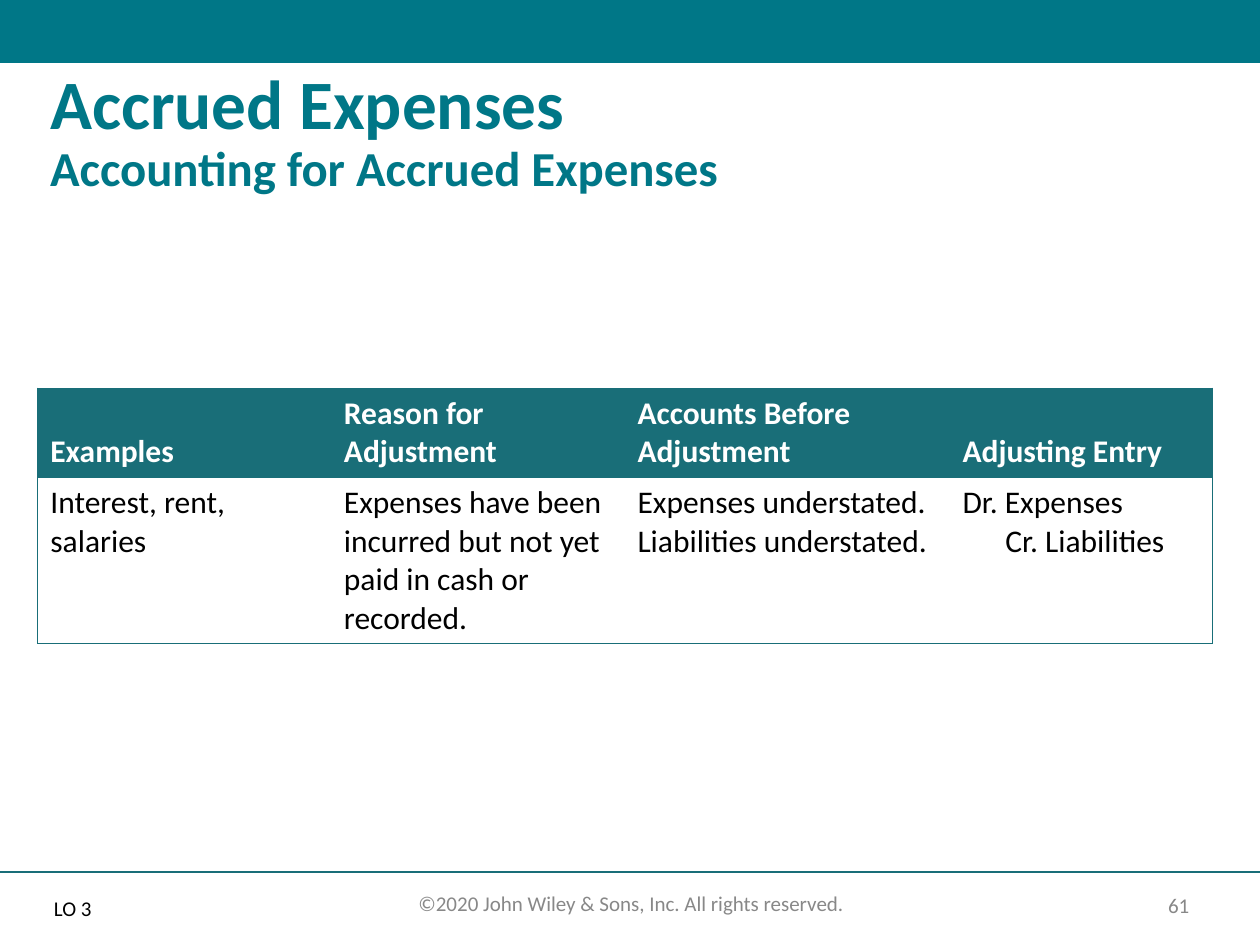
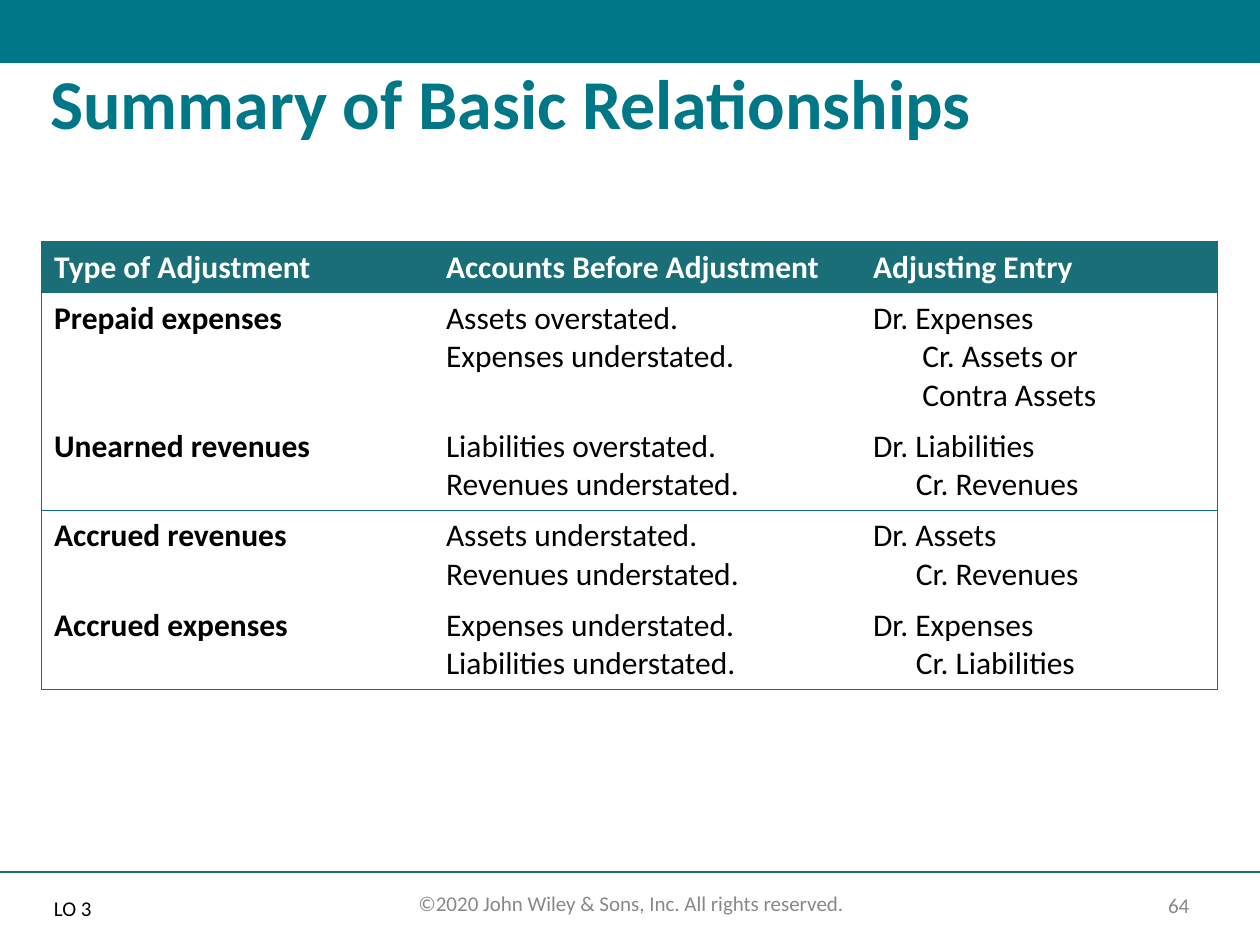
from dataclasses import dataclass
from typing import NamedTuple

from lxml.etree import SubElement
from pptx import Presentation
from pptx.dml.color import RGBColor
from pptx.enum.shapes import MSO_CONNECTOR, MSO_SHAPE
from pptx.enum.text import MSO_ANCHOR, PP_ALIGN
from pptx.oxml.ns import qn
from pptx.util import Inches, Pt


@dataclass(frozen=True)
class Theme:
    font: str = "Calibri"
    teal: str = "007787"
    dark: str = "196E78"
    grey: str = "888888"
    black: str = "000000"
    white: str = "FFFFFF"
    body: float = 18
    small: float = 12
    edge: float = 0.75
    rule: float = 1


class Line(NamedTuple):
    text: str
    indent: float = 0


class Row(NamedTuple):
    cells: list[list[Line]]
    lines: int  # text lines in the tallest cell


@dataclass(frozen=True)
class Grid:
    left: float
    top: float
    cols: list[float]
    head: Row
    rows: list[Row]
    rules: set[int]  # row boundaries with a line
    bold: bool = False  # bold first column


@dataclass(frozen=True)
class Page:
    title: str
    size: float
    number: int
    grid: Grid
    sub: float = 0


THEME = Theme()
LINE, PAD = 0.305, 0.1  # height of a text line, cell padding


def write(frame, lines: list[Line], *, size: float, color: str, sub: float = 0,
          bold: bool = False, align=PP_ALIGN.LEFT, space: float = 1) -> None:
    """Fill a text frame; sub is the size of text after a line break."""
    frame.word_wrap = True
    for i, line in enumerate(lines):
        para = frame.paragraphs[0] if i == 0 else frame.add_paragraph()
        para.alignment, para.line_spacing = align, space
        if line.indent:
            para._p.get_or_add_pPr().set("marL", str(Inches(line.indent)))
        for j, part in enumerate(line.text.split("\n")):
            if j:
                para.add_line_break()
            run = para.add_run()
            run.text = part
            font = run.font
            font.name, font.bold = THEME.font, bold
            font.size = Pt(sub if j else size)
            font.color.rgb = RGBColor.from_string(color)


def label(slide, text: str, box: tuple, anchor=MSO_ANCHOR.TOP, **style) -> None:
    frame = slide.shapes.add_textbox(*map(Inches, box)).text_frame
    frame.vertical_anchor = anchor
    write(frame, [Line(text)], **style)


def border(cell, sides: dict[str, bool]) -> None:
    props = cell._tc.get_or_add_tcPr()
    for side, shown in sides.items():
        line = SubElement(props, qn(f"a:ln{side}"), w=str(Pt(THEME.edge)))
        if shown:
            fill = SubElement(line, qn("a:solidFill"))
            SubElement(fill, qn("a:srgbClr"), val=THEME.dark)
        else:
            SubElement(line, qn("a:noFill"))


def table(slide, grid: Grid) -> None:
    rows = [grid.head, *grid.rows]
    highs = [PAD + LINE * row.lines for row in rows]
    box = (grid.left, grid.top, sum(grid.cols), sum(highs))
    tab = slide.shapes.add_table(len(rows), len(grid.cols), *map(Inches, box)).table
    for col, width in zip(tab.columns, grid.cols):
        col.width = Inches(width)
    rules = grid.rules | {0, 1, len(rows)}
    last = len(grid.cols) - 1
    for r, row in enumerate(rows):
        tab.rows[r].height = Inches(highs[r])
        head = r == 0
        for c, lines in enumerate(row.cells):
            cell = tab.cell(r, c)
            border(cell, {"L": c == 0, "R": c == last,
                          "T": r in rules, "B": r + 1 in rules})
            if head:
                cell.fill.solid()
                cell.fill.fore_color.rgb = RGBColor.from_string(THEME.dark)
                cell.vertical_anchor = MSO_ANCHOR.BOTTOM
            else:
                cell.fill.background()
            write(cell.text_frame, lines, size=THEME.body,
                  color=THEME.white if head else THEME.black,
                  bold=head or (grid.bold and c == 0))


def frame(slide, page: Page) -> None:
    """Draw the band, title and footer that every slide has."""
    band = slide.shapes.add_shape(MSO_SHAPE.RECTANGLE, 0, 0, Inches(10), Inches(0.5))
    band.shadow.inherit = False
    band.fill.solid()
    band.fill.fore_color.rgb = RGBColor.from_string(THEME.teal)
    band.line.fill.background()

    rule = slide.shapes.add_connector(
        MSO_CONNECTOR.STRAIGHT, 0, Inches(6.92), Inches(10), Inches(6.92))
    rule.line.color.rgb = RGBColor.from_string(THEME.dark)
    rule.line.width = Pt(THEME.rule)
    SubElement(rule._element.spPr, qn("a:effectLst"))

    foot = {"size": THEME.small, "color": THEME.grey, "align": PP_ALIGN.CENTER}
    label(slide, str(page.number), (9.05, 7.04, 0.61, 0.28), MSO_ANCHOR.MIDDLE, **foot)
    label(slide, "©2020 John Wiley & Sons, Inc. All rights reserved.",
          (2.84, 7.02, 4.34, 0.3), **foot)
    label(slide, "LO 3", (0.33, 7.08, 0.67, 0.33),
          size=THEME.small, color=THEME.black, space=0.9)
    label(slide, page.title, (0.3, 0.5, 9.34, 1.07), size=page.size,
          sub=page.sub, color=THEME.teal, bold=True, space=0.9)


def cells(*texts: str) -> list[list[Line]]:
    return [[Line(text)] for text in texts]


def entry(debit: str, *credit: str, indent: float = 0.34) -> list[Line]:
    return [Line(f"Dr. {debit}"), *(Line(text, indent) for text in credit)]


def kind(name: str, first: str, second: str, entry: list[Line]) -> Row:
    return Row([[Line(name)], [Line(first), Line(second)], entry], len(entry))


PAGES = [
    Page("Accrued Expenses\nAccounting for Accrued Expenses", 39.6, 61, sub=27.9, grid=Grid(
        0.3, 3.08, [2.33, 2.33, 2.58, 2.08],
        Row(cells("Examples", "Reason for Adjustment",
                  "Accounts Before Adjustment", "Adjusting Entry"), 2),
        [Row([*cells("Interest, rent, salaries",
                     "Expenses have been incurred but not yet paid in cash or recorded.",
                     "Expenses understated. Liabilities understated."),
              entry("Expenses", "Cr. Liabilities")], 4)],
        rules=set())),
    Page("Summary of Basic Relationships", 40, 64, grid=Grid(
        0.33, 1.92, [3.11, 3.39, 2.83],
        Row(cells("Type of Adjustment", "Accounts Before Adjustment", "Adjusting Entry"), 1),
        [kind("Prepaid expenses", "Assets overstated.", "Expenses understated.",
              entry("Expenses", "Cr. Assets or", "Contra Assets", indent=0.39)),
         kind("Unearned revenues", "Liabilities overstated.", "Revenues understated.",
              entry("Liabilities", "Cr. Revenues")),
         kind("Accrued revenues", "Assets understated.", "Revenues understated.",
              entry("Assets", "Cr. Revenues")),
         kind("Accrued expenses", "Expenses understated.", "Liabilities understated.",
              entry("Expenses", "Cr. Liabilities"))],
        rules={3}, bold=True)),
]


def main() -> None:
    deck = Presentation()
    deck.slide_width, deck.slide_height = Inches(10), Inches(7.5)
    for page in PAGES:
        slide = deck.slides.add_slide(deck.slide_layouts[6])
        frame(slide, page)
        table(slide, page.grid)
    deck.save("out.pptx")


if __name__ == "__main__":
    main()
